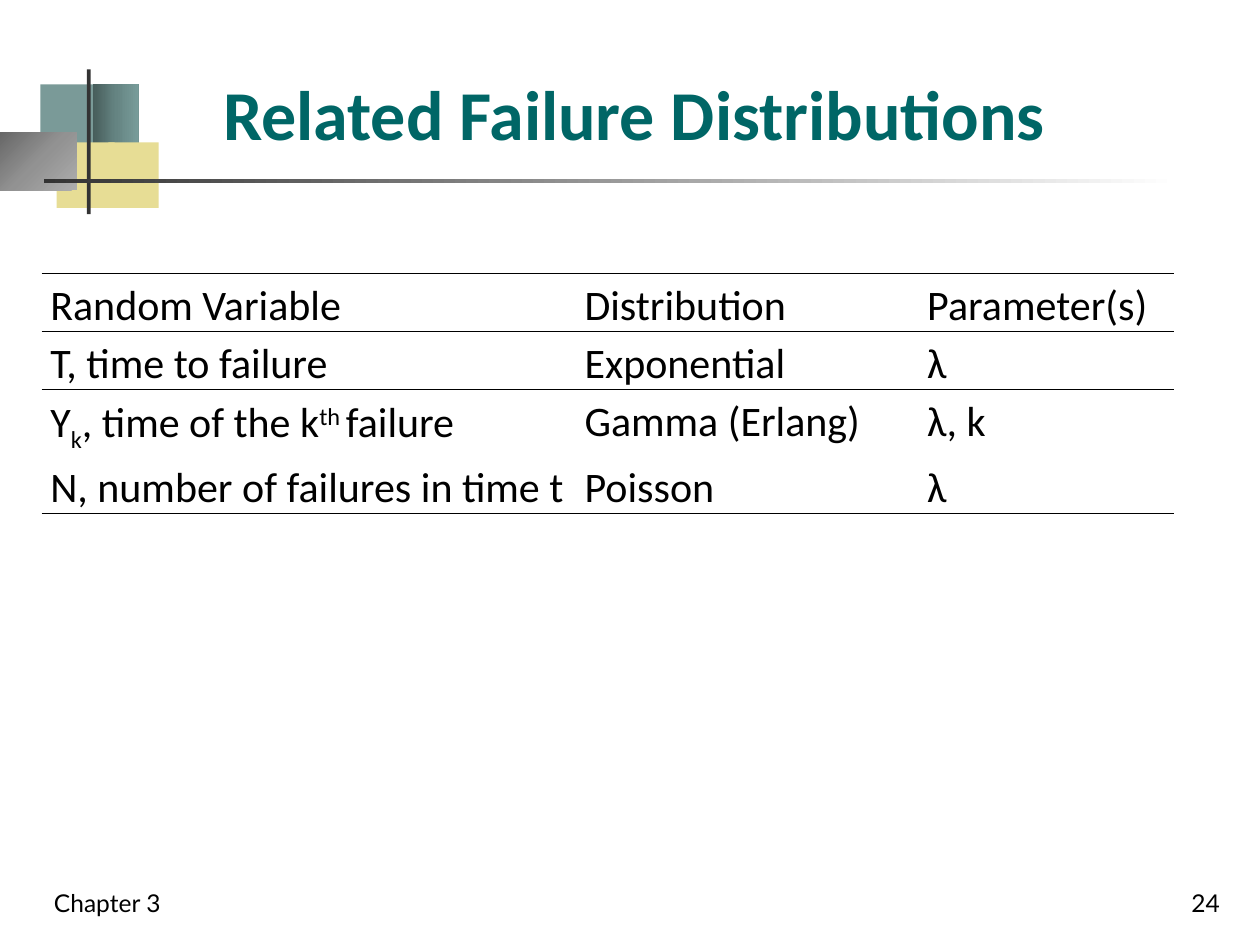
from lxml import etree
from pptx import Presentation
from pptx.dml.color import RGBColor
from pptx.enum.shapes import MSO_SHAPE
from pptx.enum.text import MSO_ANCHOR, PP_ALIGN
from pptx.oxml import parse_xml
from pptx.oxml.ns import nsdecls, qn
from pptx.util import Inches, Pt

RECTANGLE = MSO_SHAPE.RECTANGLE
BOTTOM = MSO_ANCHOR.BOTTOM
LEFT, RIGHT = PP_ALIGN.LEFT, PP_ALIGN.RIGHT

BLACK = RGBColor(0x00, 0x00, 0x00)
WHITE = RGBColor(0xFF, 0xFF, 0xFF)
CHARCOAL = RGBColor(0x33, 0x33, 0x33)
TEAL = RGBColor(0x00, 0x66, 0x66)
SAGE = RGBColor(0x7A, 0x9A, 0x98)
SAND = RGBColor(0xE7, 0xDD, 0x95)
SAGE_FADE = [(0, RGBColor(0x47, 0x5D, 0x5B)), (50, RGBColor(0x65, 0x84, 0x82)),
             (100, RGBColor(0x78, 0x9C, 0x9A))]
GREY_FADE = [(0, RGBColor(0x67, 0x67, 0x67)), (50, RGBColor(0x92, 0x92, 0x92)),
             (100, RGBColor(0xAD, 0xAD, 0xAD))]
RULE_FADE = [(0, CHARCOAL), (100, WHITE)]

LINEAR = '<a:lin ang="0" scaled="0"/>'
RADIAL = '<a:path path="circle"><a:fillToRect r="100000" b="100000"/></a:path>'
PLAIN_TABLE = "{2D5ABB26-0587-4C30-8999-92F81FD0307C}"

DISTRIBUTIONS = [
    ["Random Variable", "Distribution", "Parameter(s)"],
    ["T, time to failure", "Exponential", "λ"],
    [[("Y", 0), ("k", -25), (", time of the k", 0), ("th ", 30), ("failure", 0)],
     "Gamma (Erlang)", "λ, k"],
    ["N, number of failures in time t", "Poisson", "λ"],
]


class SlideBuilder:
    title_font = {"name": "Calibri", "size": Pt(40), "bold": True}
    table_font = {"name": "Calibri", "size": Pt(24)}
    footer_font = {"name": "Lato", "size": Pt(14)}

    def __init__(self, slide):
        self.slide = slide

    def format_run(self, run, font, color):
        for attribute, value in font.items():
            setattr(run.font, attribute, value)
        run.font.color.rgb = color

    def place(self, shape, box):
        for attribute, value in zip(("left", "top", "width", "height"), box):
            setattr(shape, attribute, Inches(value))

    def title(self, text, box):
        heading = self.slide.shapes.title
        self.place(heading, box)
        frame = heading.text_frame
        frame.vertical_anchor = BOTTOM
        paragraph = frame.paragraphs[0]
        paragraph.alignment = LEFT
        paragraph.line_spacing = 1.15
        run = paragraph.add_run()
        run.text = text
        self.format_run(run, self.title_font, TEAL)

    def block(self, box, color=None, fade=None, direction=LINEAR):
        block = self.slide.shapes.add_shape(RECTANGLE, *map(Inches, box))
        block.shadow.inherit = False
        block.line.fill.background()
        if fade is None:
            block.fill.solid()
            block.fill.fore_color.rgb = color
            return
        stops = "".join(
            f'<a:gs pos="{position * 1000}"><a:srgbClr val="{stop}"/></a:gs>'
            for position, stop in fade)
        block.fill.gradient()
        properties = block.fill._xPr
        properties.replace(
            properties.find(qn("a:gradFill")),
            parse_xml(f'<a:gradFill {nsdecls("a")} rotWithShape="1">'
                      f'<a:gsLst>{stops}</a:gsLst>{direction}</a:gradFill>'))

    def footer(self, text, box, alignment):
        footer = self.slide.shapes.add_textbox(*map(Inches, box))
        frame = footer.text_frame
        frame.word_wrap = True
        frame.vertical_anchor = BOTTOM
        paragraph = frame.paragraphs[0]
        paragraph.alignment = alignment
        run = paragraph.add_run()
        run.text = text
        self.format_run(run, self.footer_font, BLACK)

    def border(self, cell, tag):
        line = etree.SubElement(cell._tc.get_or_add_tcPr(), qn(tag), w=str(Pt(1)))
        fill = etree.SubElement(line, qn("a:solidFill"))
        etree.SubElement(fill, qn("a:srgbClr"), val=str(BLACK))

    def cell(self, cell, content):
        margins = {"margin_left": 0.07, "margin_right": 0.07,
                   "margin_top": 0, "margin_bottom": 0}
        for attribute, value in margins.items():
            setattr(cell, attribute, Inches(value))
        paragraph = cell.text_frame.paragraphs[0]
        paragraph.line_spacing = 1.15
        pieces = [(content, 0)] if isinstance(content, str) else content
        for text, baseline in pieces:
            run = paragraph.add_run()
            run.text = text
            self.format_run(run, self.table_font, BLACK)
            if baseline:
                run.font._element.set("baseline", str(baseline * 1000))

    def table(self, rows, box, widths):
        frame = self.slide.shapes.add_table(len(rows), len(widths), *map(Inches, box))
        table = frame.table
        table.first_row = table.horz_banding = False
        table._tbl.tblPr.find(qn("a:tableStyleId")).text = PLAIN_TABLE
        for column, width in zip(table.columns, widths):
            column.width = Inches(width)
        for r, row in enumerate(rows):
            for c, content in enumerate(row):
                cell = table.cell(r, c)
                self.cell(cell, content)
                if r in (0, 1):
                    self.border(cell, "a:lnT")
                if r in (0, len(rows) - 1):
                    self.border(cell, "a:lnB")
                cell.fill.background()


def main():
    presentation = Presentation()
    presentation.slide_width = Inches(10)
    presentation.slide_height = Inches(7.5)
    slide = presentation.slides.add_slide(presentation.slide_layouts[5])
    builder = SlideBuilder(slide)

    builder.block((0.32, 0.67, 0.48, 0.52), SAGE)
    builder.block((0.74, 0.67, 0.36, 0.52), fade=SAGE_FADE)
    builder.block((0.45, 1.13, 0.46, 0.52), SAND)
    builder.block((0.86, 1.13, 0.4, 0.52), SAND)
    builder.block((0, 1.05, 0.61, 0.46), fade=GREY_FADE, direction=RADIAL)
    builder.block((0.69, 0.55, 0.03, 1.15), CHARCOAL)
    builder.block((0.35, 1.42, 9, 0.03), fade=RULE_FADE)

    builder.title("Related Failure Distributions", (1.67, 0.42, 7.77, 0.86))
    builder.footer("Chapter 3", (0.33, 6.83, 2.08, 0.5), LEFT)
    builder.footer("24", (7.7, 6.83, 2.08, 0.5), RIGHT)
    builder.table(DISTRIBUTIONS, (0.33, 2.17, 9, 1.84), (4.24, 2.72, 2.03))

    presentation.save("out.pptx")


if __name__ == "__main__":
    main()
